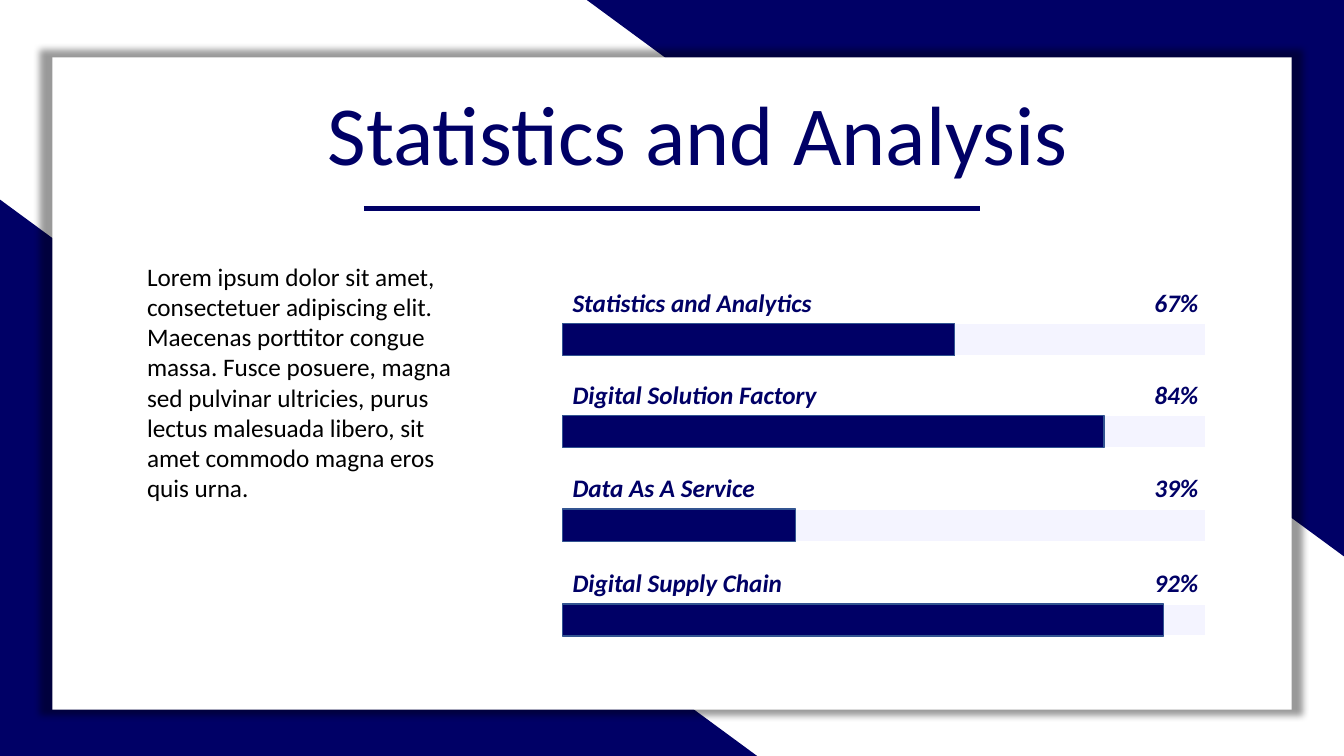
from dataclasses import dataclass
from typing import Optional

import pptx
import pptx.dml.color
import pptx.enum.shapes
import pptx.enum.text
import pptx.oxml
import pptx.oxml.ns
import pptx.util

Inches = pptx.util.Inches
SHAPES = pptx.enum.shapes.MSO_SHAPE

NAVY = "000066"
WHITE = "FFFFFF"
BLACK = "000000"
TRACK = "CCCCFF"
BAR_EDGE = "325491"
FONT = "Calibri"

BAR_LEFT = 5.58
BAR_HEIGHT = 0.32
TRACK_WIDTH = 6.38
LABEL_RISE = 0.41
LABEL_HEIGHT = 0.4


@dataclass(frozen=True)
class Box:
    left: float
    top: float
    width: float
    height: float

    def lengths(self) -> tuple:
        return tuple(Inches(v) for v in (self.left, self.top, self.width, self.height))


@dataclass(frozen=True)
class Metric:
    label: str
    percent: str
    top: float
    bar_width: float


METRICS = (
    Metric("Statistics and Analytics", "67%", 3.21, 3.89),
    Metric("Digital Solution Factory", "84%", 4.12, 5.37),
    Metric("Data As A Service", "39%", 5.05, 2.31),
    Metric("Digital Supply Chain", "92%", 5.99, 5.96),
)


def color(value: str) -> pptx.dml.color.RGBColor:
    return pptx.dml.color.RGBColor.from_string(value)


def draw_shape(shapes, kind, box: Box, fill: str, edge: Optional[str] = None):
    shape = shapes.add_shape(kind, *box.lengths())
    shape.shadow.inherit = False
    shape.fill.solid()
    shape.fill.fore_color.rgb = color(fill)
    if edge:
        shape.line.color.rgb = color(edge)
        shape.line.width = pptx.util.Pt(1)
    else:
        shape.line.fill.background()
    return shape


def draw_text(shapes, box: Box, text: str, size: int, ink: str, strong: bool = False) -> None:
    frame = shapes.add_textbox(*box.lengths()).text_frame
    frame.word_wrap = True
    frame.auto_size = pptx.enum.text.MSO_AUTO_SIZE.SHAPE_TO_FIT_TEXT
    frame.text = text
    font = frame.paragraphs[0].runs[0].font
    font.name = FONT
    font.size = pptx.util.Pt(size)
    font.color.rgb = color(ink)
    if strong:
        font.bold = True
        font.italic = True


def draw_panel(shapes) -> None:
    panel = draw_shape(shapes, SHAPES.RECTANGLE, Box(0.52, 0.57, 12.29, 6.47), WHITE)
    effects = panel._element.spPr.find(pptx.oxml.ns.qn("a:effectLst"))
    effects.append(pptx.oxml.parse_xml(
        f'<a:outerShdw {pptx.oxml.ns.nsdecls("a")} blurRad="63500" sx="102000" sy="102000" '
        f'algn="ctr" rotWithShape="0"><a:srgbClr val="{BLACK}">'
        '<a:alpha val="40000"/></a:srgbClr></a:outerShdw>'))


def draw_rule(shapes) -> None:
    rule = shapes.add_connector(
        pptx.enum.shapes.MSO_CONNECTOR.STRAIGHT,
        Inches(3.61), Inches(2.07), Inches(9.72), Inches(2.07))
    rule.line.color.rgb = color(NAVY)
    rule.line.width = pptx.util.Pt(4)
    rule._element.spPr.append(
        pptx.oxml.parse_xml(f'<a:effectLst {pptx.oxml.ns.nsdecls("a")}/>'))


def draw_metric(slide, metric: Metric) -> None:
    shapes = slide.shapes.add_group_shape().shapes
    track = draw_shape(shapes, SHAPES.RECTANGLE,
                       Box(BAR_LEFT, metric.top, TRACK_WIDTH, BAR_HEIGHT), TRACK, WHITE)
    tint = track._element.spPr.find(pptx.oxml.ns.qn("a:solidFill"))[0]
    tint.append(pptx.oxml.parse_xml(
        f'<a:alpha {pptx.oxml.ns.nsdecls("a")} val="20000"/>'))
    draw_shape(shapes, SHAPES.RECTANGLE,
               Box(BAR_LEFT, metric.top, metric.bar_width, BAR_HEIGHT), NAVY, BAR_EDGE)
    label_top = metric.top - LABEL_RISE
    draw_text(shapes, Box(BAR_LEFT, label_top, 3.89, LABEL_HEIGHT),
              metric.label, 18, NAVY, strong=True)
    draw_text(shapes, Box(11.35, label_top, 1.01, LABEL_HEIGHT),
              metric.percent, 18, NAVY, strong=True)


def main() -> None:
    deck = pptx.Presentation()
    deck.slide_width = Inches(13.33)
    deck.slide_height = Inches(7.5)
    slide = deck.slides.add_slide(deck.slide_layouts[6])
    shapes = slide.shapes

    draw_shape(shapes, SHAPES.RIGHT_TRIANGLE, Box(0, 1.98, 7.51, 5.52), NAVY)
    upper_corner = draw_shape(shapes, SHAPES.RIGHT_TRIANGLE, Box(5.82, 0, 7.51, 5.52), NAVY)
    upper_corner.rotation = 180
    draw_panel(shapes)

    draw_text(shapes, Box(3.15, 0.76, 7.61, 1.11), "Statistics and Analysis", 60, NAVY)
    draw_rule(shapes)
    draw_text(
        shapes, Box(1.36, 2.54, 3.38, 2.83),
        "Lorem ipsum dolor sit amet, consectetuer adipiscing elit. Maecenas porttitor "
        "congue massa. Fusce posuere, magna sed pulvinar ultricies, purus lectus "
        "malesuada libero, sit amet commodo magna eros quis urna.", 18, BLACK)
    for metric in METRICS:
        draw_metric(slide, metric)

    deck.save("out.pptx")


if __name__ == "__main__":
    main()
